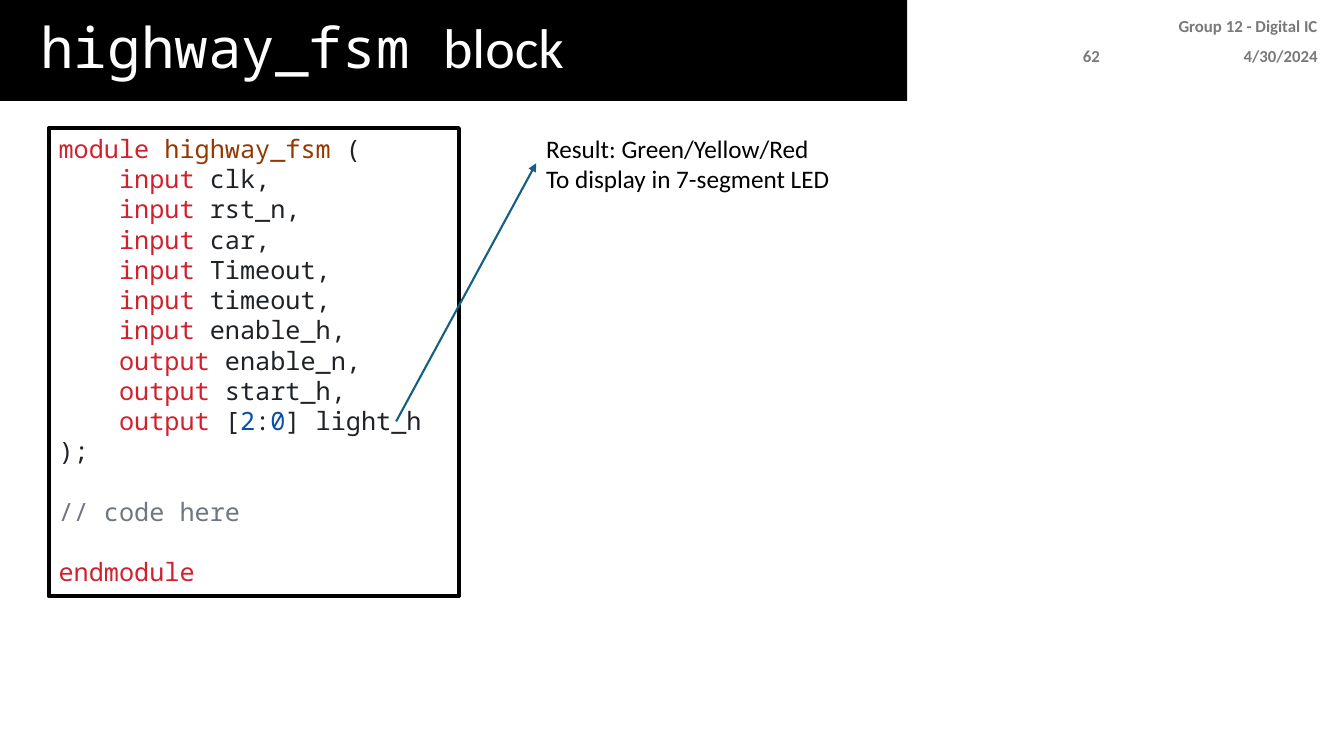
"""Build the slide on the highway_fsm block and its ports."""
from dataclasses import dataclass

from lxml.etree import SubElement
from pptx import Presentation
from pptx.dml.color import RGBColor
from pptx.enum.shapes import MSO_CONNECTOR, MSO_SHAPE
from pptx.enum.text import MSO_ANCHOR, PP_ALIGN
from pptx.oxml.ns import qn
from pptx.util import Pt


@dataclass(frozen=True)
class Theme:
    """Colours, fonts and type sizes."""
    black: str = "000000"
    white: str = "FFFFFF"
    grey: str = "797979"
    key: str = "CF222E"
    plain: str = "1F2328"
    name: str = "953800"
    digit: str = "0550AE"
    note: str = "6E7781"
    arrow: str = "156082"
    sans: str = "Calibri"
    mono: str = "Noto Sans Mono"
    head: int = 40
    body: int = 18
    small: int = 12


theme = Theme()


def add_run(para, text, size, font, color, bold=False):
    """Add one formatted run to a paragraph."""
    run = para.add_run()
    run.text = text
    run.font.size = Pt(size)
    run.font.name = font
    run.font.bold = bold
    run.font.color.rgb = RGBColor.from_string(color)


def add_box(left, top, width, height):
    """Add a text box and return its text frame."""
    frame = slide.shapes.add_textbox(Pt(left), Pt(top), Pt(width), Pt(height)).text_frame
    frame.word_wrap = True
    return frame


deck = Presentation()
deck.slide_width, deck.slide_height = Pt(960), Pt(540)
slide = deck.slides.add_slide(deck.slide_layouts[5])

title = slide.shapes.title
title.left, title.top, title.width, title.height = Pt(0), Pt(0), Pt(648), Pt(72)
title.fill.solid()
title.fill.fore_color.rgb = RGBColor.from_string(theme.black)
frame = title.text_frame
frame.margin_left = Pt(28.8)
frame.vertical_anchor = MSO_ANCHOR.MIDDLE
para = frame.paragraphs[0]
para.alignment = PP_ALIGN.LEFT
para.line_spacing = 0.9
add_run(para, "highway_fsm ", theme.head, theme.mono, theme.white)
add_run(para, "block", theme.head, theme.sans, theme.white)

marks = [
    ("4/30/2024", 815.8, 32.4, 132.5),
    ("Group 12 - Digital IC", 660.3, 10.8, 288),
    ("62", 660.3, 32.4, 132.5),
]
for text, left, top, width in marks:
    frame = add_box(left, top, width, 15.1)
    frame.vertical_anchor = MSO_ANCHOR.MIDDLE
    para = frame.paragraphs[0]
    para.alignment = PP_ALIGN.RIGHT
    add_run(para, text, theme.small, theme.sans, theme.grey, True)

panel = slide.shapes.add_shape(MSO_SHAPE.RECTANGLE, Pt(34.8), Pt(91.6), Pt(293), Pt(334.2))
panel.shadow.inherit = False
panel.fill.background()
panel.line.color.rgb = RGBColor.from_string(theme.black)
panel.line.width = Pt(3)

ports = ["clk", "rst_n", "car", "Timeout", "timeout", "enable_h"]
outs = ["enable_n", "start_h"]
inner = [[("input", theme.key), (f" {port},", theme.plain)] for port in ports]
inner += [[("output", theme.key), (f" {port},", theme.plain)] for port in outs]
inner.append([
    ("output", theme.key), (" [", theme.plain), ("2", theme.digit),
    (":", theme.plain), ("0", theme.digit), ("] light_h", theme.plain),
])
pitch = 21.6
indent = Pt(43.2)
start = [("module", theme.key), (" ", theme.plain), ("highway_fsm", theme.name), (" (", theme.plain)]
lines = [(start, 0, 0)]
lines += [(runs, indent, 0) for runs in inner]
lines += [
    ([(");", theme.plain)], 0, 0),
    ([("// code here", theme.note)], 0, pitch),
    ([("endmodule", theme.key)], 0, pitch),
]
frame = panel.text_frame
frame.word_wrap = True
frame.vertical_anchor = MSO_ANCHOR.TOP
for row, (runs, shift, gap) in enumerate(lines):
    para = frame.add_paragraph() if row else frame.paragraphs[0]
    para.alignment = PP_ALIGN.LEFT
    para.line_spacing = Pt(pitch)
    para.space_before = Pt(gap)
    para._p.get_or_add_pPr().set("marL", str(int(shift)))
    for text, color in runs:
        add_run(para, text, theme.body, theme.mono, color)

arrow = slide.shapes.add_connector(MSO_CONNECTOR.STRAIGHT, Pt(283), Pt(301), Pt(383), Pt(116.6))
arrow.line.color.rgb = RGBColor.from_string(theme.arrow)
arrow.line.width = Pt(1.5)
SubElement(arrow.line._get_or_add_ln(), qn("a:tailEnd"), type="triangle")
SubElement(arrow._element.spPr, qn("a:effectLst"))

frame = add_box(383, 91.4, 219.6, 51.1)
frame.word_wrap = False
for row, text in enumerate(["Result: Green/Yellow/Red", "To display in 7-segment LED"]):
    para = frame.add_paragraph() if row else frame.paragraphs[0]
    add_run(para, text, theme.body, theme.sans, theme.black)

deck.save("out.pptx")
